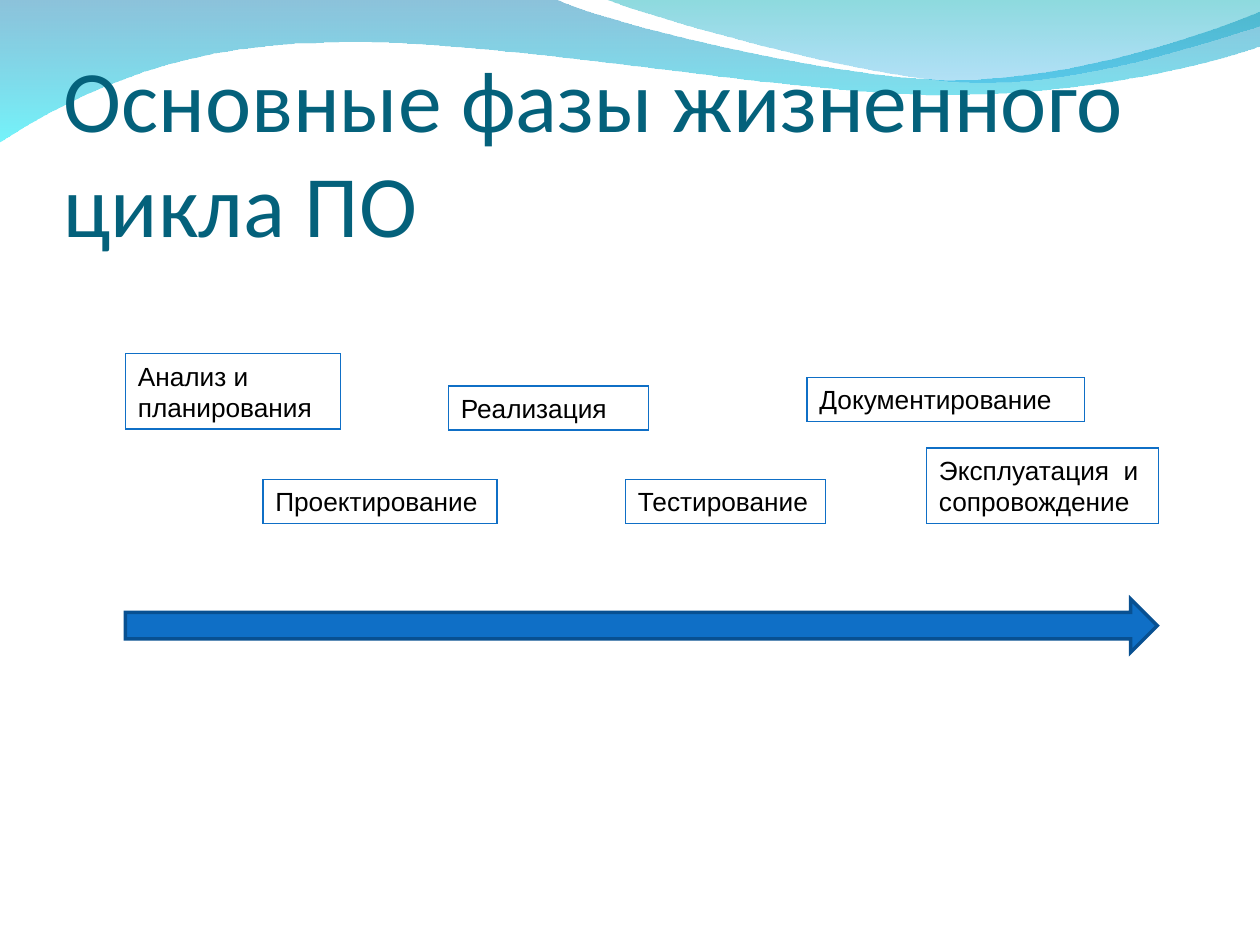
from dataclasses import dataclass

from lxml.etree import SubElement
from pptx import Presentation
from pptx.dml.color import RGBColor
from pptx.enum.shapes import MSO_SHAPE
from pptx.enum.text import MSO_ANCHOR, PP_ALIGN
from pptx.oxml.ns import qn
from pptx.shapes.base import BaseShape
from pptx.shapes.shapetree import GroupShapes, SlideShapes
from pptx.text.text import TextFrame
from pptx.util import Cm, Pt

Point = tuple[float, float]


@dataclass(frozen=True)
class Theme:
    title: RGBColor = RGBColor(0x04, 0x61, 0x7B)
    text: RGBColor = RGBColor(0, 0, 0)
    accent: RGBColor = RGBColor(0x0F, 0x6F, 0xC6)
    arrow_edge: RGBColor = RGBColor(0x08, 0x50, 0x91)
    wave_blue: RGBColor = RGBColor(0x00, 0x79, 0xAF)
    wave_cyan: RGBColor = RGBColor(0x00, 0xEB, 0xF8)
    wave_teal: RGBColor = RGBColor(0x00, 0xAD, 0xB6)
    wave_sky: RGBColor = RGBColor(0x00, 0x9B, 0xE5)
    title_font: str = "Calibri"
    text_font: str = "Arial"
    title_size: Pt = Pt(50)
    text_size: Pt = Pt(15)


THEME = Theme()


@dataclass(frozen=True)
class Phase:
    name: str
    left: float
    top: float
    width: float
    height: float = 0.89


@dataclass(frozen=True)
class Stop:
    color: RGBColor
    opacity: int


@dataclass(frozen=True)
class Wave:
    """Outline in centimetres: a segment has one point (line) or three (curve)."""
    start: Point
    segments: list[list[Point]]
    stops: tuple[Stop, Stop]


WAVES = [
    Wave((0, -0.03), [
        [(11.18, -0.03)],
        [(12.09, 0.43), (16.87, 1.6), (19.25, 1.6)],
        [(21.67, 1.6), (24.33, 0.66), (25.4, 0.23)],
        [(25.43, 0.91)],
        [(24.97, 1.12), (22.1, 1.93), (18.95, 1.91)],
        [(15.8, 1.91), (9.7, 0.71), (6.53, 0.86)],
        [(3.28, 0.89), (1.17, 2.11), (-0.03, 2.87)],
    ], (Stop(THEME.wave_blue, 45), Stop(THEME.wave_cyan, 55))),
    Wave((12.17, -0.03), [
        [(12.93, 0.28), (17.32, 1.57), (19.53, 1.65)],
        [(21.74, 1.75), (24.41, 0.81), (25.4, 0.53)],
        [(25.4, 0)],
    ], (Stop(THEME.wave_teal, 45), Stop(THEME.wave_sky, 30))),
]

PHASES = [
    Phase("Анализ и планирования", 2.53, 7.13, 4.34, 1.52),
    Phase("Проектирование", 5.3, 9.66, 4.72),
    Phase("Реализация", 9.04, 7.78, 4.04),
    Phase("Тестирование", 12.61, 9.66, 4.04),
    Phase("Документирование", 16.27, 7.61, 5.59),
    Phase("Эксплуатация  и сопровождение", 18.68, 9.03, 4.67, 1.52),
]


def draw_wave(shapes: SlideShapes, wave: Wave) -> None:
    points = [wave.start] + [point for segment in wave.segments for point in segment]
    corners = [(Cm(x), Cm(y)) for x, y in points]
    builder = shapes.build_freeform(*corners[0])
    builder.add_line_segments(corners[1:], close=True)
    shape = builder.convert_to_shape()
    bend_segments(shape, wave.segments)
    shape.shadow.inherit = False
    shape.line.fill.background()
    shape.fill.gradient()
    shape.fill.gradient_angle = 270
    for gradient_stop, stop in zip(shape.fill.gradient_stops, wave.stops):
        gradient_stop.color.rgb = stop.color
    elements = shape._element.spPr.iter(qn("a:srgbClr"))
    for element, stop in zip(elements, wave.stops):
        SubElement(element, qn("a:alpha"), val=str(stop.opacity * 1000))
    first, last = shape.fill.gradient_stops
    first.position, last.position = 0, 1


def bend_segments(shape: BaseShape, segments: list[list[Point]]) -> None:
    """Join the three lines drawn for each curved segment into one Bezier curve."""
    lines = iter(list(shape._element.spPr.iter(qn("a:lnTo"))))
    for segment in segments:
        first, *others = [next(lines) for _ in segment]
        if others:
            curve = SubElement(first.getparent(), qn("a:cubicBezTo"))
            first.addprevious(curve)
            for line in (first, *others):
                curve.append(line[0])
                line.getparent().remove(line)


def write(frame: TextFrame, text: str, font: str, size: Pt, color: RGBColor) -> None:
    frame.word_wrap = True
    frame.text = text
    para = frame.paragraphs[0]
    para.alignment = PP_ALIGN.LEFT
    span = para.runs[0]
    span.font.name = font
    span.font.size = size
    span.font.color.rgb = color


def draw_title(shapes: SlideShapes, text: str) -> None:
    box = shapes.add_textbox(Cm(1.28), Cm(1.96), Cm(22.86), Cm(3.18))
    frame = box.text_frame
    frame.margin_left = frame.margin_right = frame.margin_bottom = 0
    frame.vertical_anchor = MSO_ANCHOR.BOTTOM
    write(frame, text, THEME.title_font, THEME.title_size, THEME.title)


def outline_shape(shape: BaseShape, color: RGBColor, width: float) -> None:
    shape.shadow.inherit = False
    shape.line.color.rgb = color
    shape.line.width = Pt(width)
    SubElement(shape._element.spPr.find(qn("a:ln")), qn("a:miter"), lim="800000")


def draw_phase(shapes: GroupShapes, phase: Phase) -> None:
    box = shapes.add_shape(MSO_SHAPE.RECTANGLE, Cm(phase.left), Cm(phase.top),
                           Cm(phase.width), Cm(phase.height))
    box.fill.background()
    outline_shape(box, THEME.accent, 0.75)
    box.text_frame.vertical_anchor = MSO_ANCHOR.TOP
    write(box.text_frame, phase.name, THEME.text_font, THEME.text_size, THEME.text)


def draw_time_arrow(shapes: GroupShapes) -> None:
    arrow = shapes.add_shape(MSO_SHAPE.RIGHT_ARROW, Cm(2.53), Cm(12.08), Cm(20.8), Cm(1.07))
    arrow.fill.solid()
    arrow.fill.fore_color.rgb = THEME.accent
    outline_shape(arrow, THEME.arrow_edge, 2)


def main() -> None:
    deck = Presentation()
    deck.slide_width, deck.slide_height = Cm(25.4), Cm(19.05)
    page = deck.slides.add_slide(deck.slide_layouts[6])
    for wave in WAVES:
        draw_wave(page.shapes, wave)
    draw_title(page.shapes, "Основные фазы жизненного цикла ПО")
    diagram = page.shapes.add_group_shape()
    for phase in PHASES:
        draw_phase(diagram.shapes, phase)
    draw_time_arrow(diagram.shapes)
    deck.save("out.pptx")


if __name__ == "__main__":
    main()
